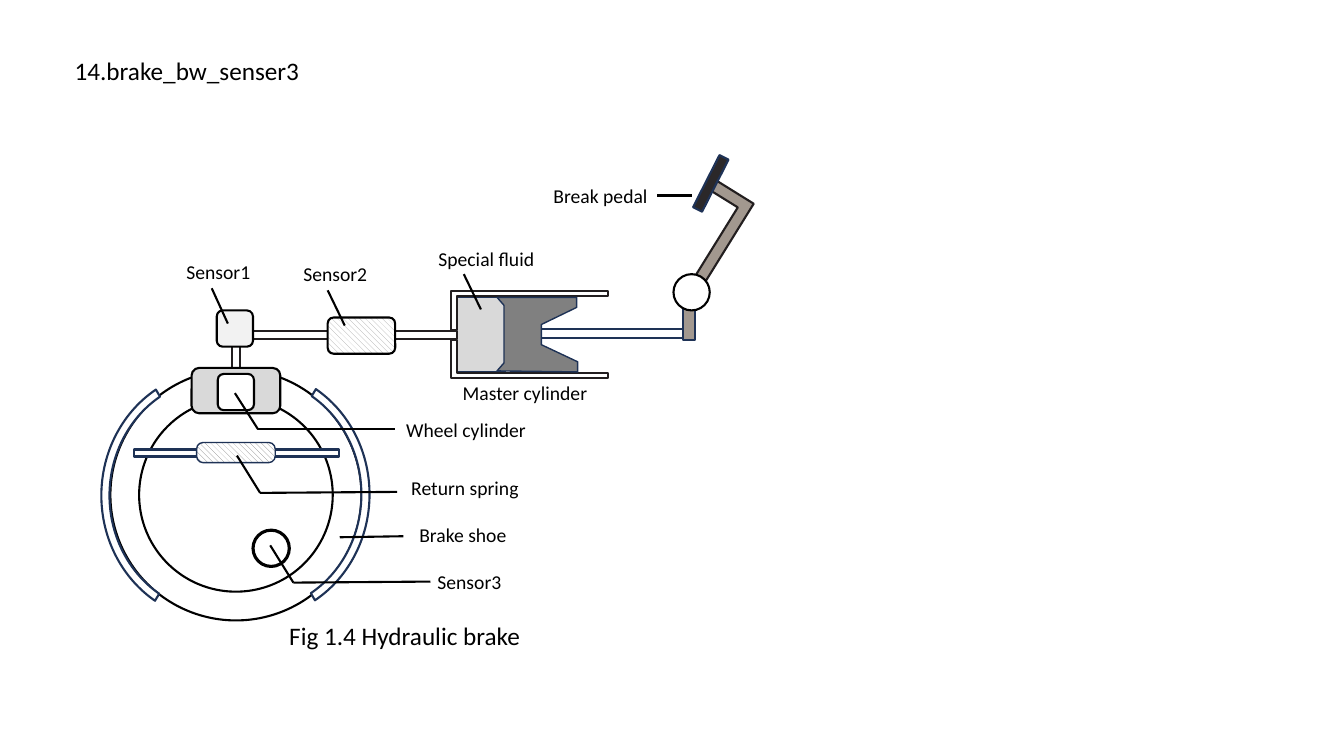
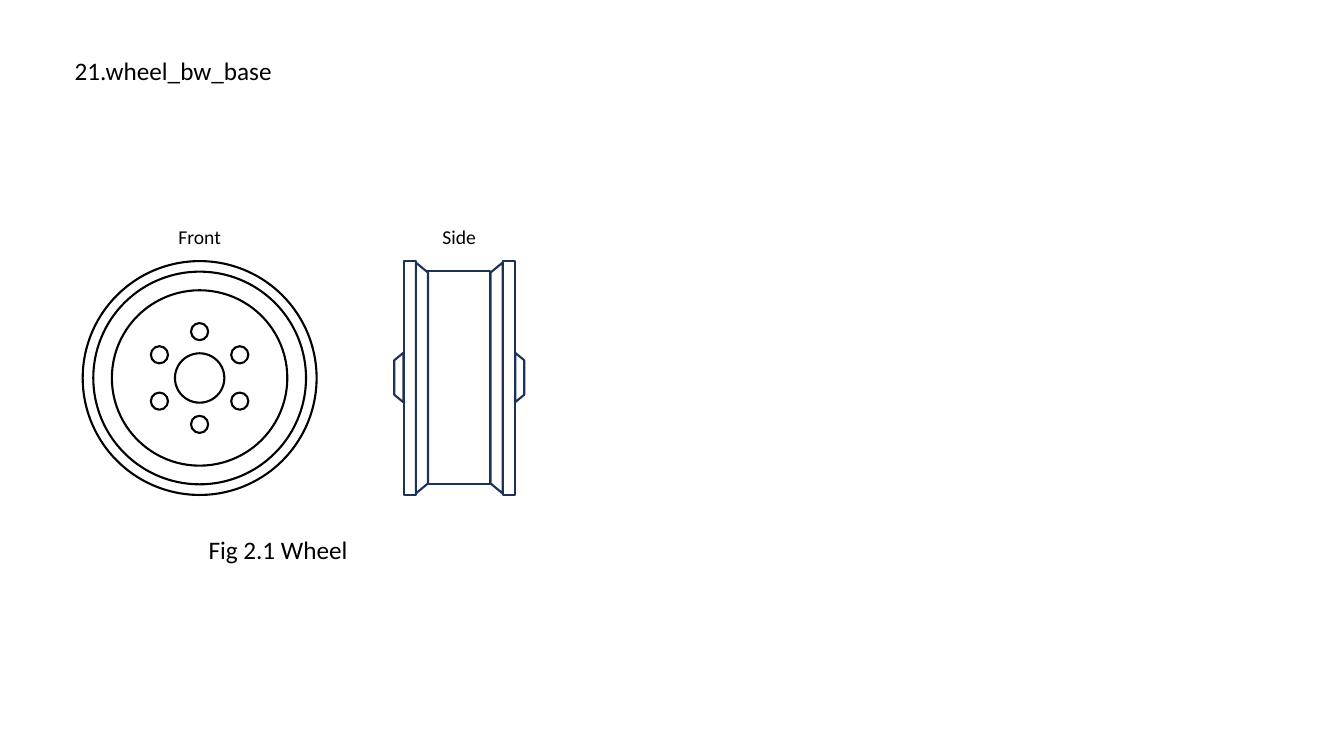
from dataclasses import dataclass
from itertools import pairwise
from math import cos, radians, sin

from lxml.etree import SubElement
from pptx import Presentation
from pptx.dml.color import RGBColor
from pptx.enum.dml import MSO_PATTERN
from pptx.enum.shapes import MSO_CONNECTOR, MSO_SHAPE
from pptx.enum.text import MSO_ANCHOR, MSO_AUTO_SIZE, PP_ALIGN
from pptx.oxml.ns import qn
from pptx.util import Inches, Pt

FONT = "Calibri"
BLACK, INK, NAVY = "000000", "221E1F", "1E3256"
WHITE, PALE, LIGHT, SILVER, GRAY = "FFFFFF", "F2F2F2", "D9D9D9", "A6A6A6", "808080"
STEEL, RUBBER = "A2988F", "2B2829"
LABEL_SIZE, HEADING_SIZE = 14, 18

RECT, ROUND, OVAL = MSO_SHAPE.RECTANGLE, MSO_SHAPE.ROUNDED_RECTANGLE, MSO_SHAPE.OVAL
CORNER, ARC, TRAPEZOID = MSO_SHAPE.CORNER, MSO_SHAPE.BLOCK_ARC, MSO_SHAPE.TRAPEZOID

Point = tuple[float, float]


@dataclass(frozen=True)
class Part:
    kind: MSO_SHAPE
    left: float
    top: float
    width: float
    height: float
    fill: str = WHITE
    line: str = BLACK
    line_width: float = 1.5
    rotation: float = 0
    flipped: bool = False
    hatched: bool = False
    adjustments: tuple[float, ...] = ()


@dataclass(frozen=True)
class Label:
    text: str
    left: float
    top: float
    width: float
    size: int = LABEL_SIZE


def rgb(color: str) -> RGBColor:
    return RGBColor.from_string(color)


def style_outline(shape, color: str, width: float) -> None:
    shape.line.color.rgb = rgb(color)
    shape.line.width = Pt(width)


def draw_part(shapes, part: Part) -> None:
    shape = shapes.add_shape(part.kind, Inches(part.left), Inches(part.top),
                             Inches(part.width), Inches(part.height))
    shape.shadow.inherit = False
    for index, value in enumerate(part.adjustments):
        shape.adjustments[index] = value
    shape.rotation = part.rotation
    if part.flipped:
        shape.element.spPr.get_or_add_xfrm().set("flipV", "1")
    if part.hatched:
        shape.fill.patterned()
        shape.fill.pattern = MSO_PATTERN.WIDE_DOWNWARD_DIAGONAL
        shape.fill.fore_color.rgb = rgb(part.fill)
        shape.fill.back_color.rgb = rgb(WHITE)
    else:
        shape.fill.solid()
        shape.fill.fore_color.rgb = rgb(part.fill)
    style_outline(shape, part.line, part.line_width)


def style_text(frame, text: str, size: int) -> None:
    frame.text = text
    frame.word_wrap = False
    frame.vertical_anchor = MSO_ANCHOR.TOP
    para = frame.paragraphs[0]
    para.alignment = PP_ALIGN.LEFT
    para.font.name = FONT
    para.font.size = Pt(size)
    para.font.color.rgb = rgb(BLACK)


def draw_label(shapes, label: Label) -> None:
    height = 0.4 if label.size == HEADING_SIZE else 0.34
    box = shapes.add_textbox(Inches(label.left), Inches(label.top),
                             Inches(label.width), Inches(height))
    style_text(box.text_frame, label.text, label.size)
    box.text_frame.auto_size = MSO_AUTO_SIZE.SHAPE_TO_FIT_TEXT


def draw_leader(shapes, points: list[Point]) -> None:
    """Join the points in turn with straight lines."""
    for start, end in pairwise(points):
        line = shapes.add_connector(MSO_CONNECTOR.STRAIGHT,
                                    *map(Inches, start), *map(Inches, end))
        style_outline(line, BLACK, 1.5)
        SubElement(line.element.spPr, qn("a:effectLst"))


def draw_outline(shapes, points: list[Point], fill: str) -> None:
    start, *rest = [(Inches(x), Inches(y)) for x, y in points]
    builder = shapes.build_freeform(*start)
    builder.add_line_segments(rest, close=True)
    shape = builder.convert_to_shape()
    shape.shadow.inherit = False
    shape.fill.solid()
    shape.fill.fore_color.rgb = rgb(fill)
    style_outline(shape, NAVY, 1)


def draw_callouts(shapes, labels: list[Label], leaders: list[list[Point]]) -> None:
    for label in labels:
        draw_label(shapes, label)
    for leader in leaders:
        draw_leader(shapes, leader)


def add_page(deck, heading: str, width: float):
    page = deck.slides.add_slide(deck.slide_layouts[5])
    title = page.shapes.title
    title.left, title.top = Inches(0.64), Inches(0.5)
    title.width, title.height = Inches(width), Inches(0.4)
    style_text(title.text_frame, heading, HEADING_SIZE)
    title.text_frame.auto_size = MSO_AUTO_SIZE.NONE
    return page


def circle(center: Point, diameter: float, line_width: float = 1.5) -> Part:
    x, y = center
    return Part(OVAL, x - diameter / 2, y - diameter / 2, diameter, diameter,
                line_width=line_width)


SHOE_ARC = (126.48, 197.82, 0.035)
CYLINDER_WALL = (0.132, 0.156)
DRUM_CENTER = (2.34, 4.91)

BRAKE_PARTS = [
    Part(RECT, 5.35, 3.26, 1.53, 0.09, line=NAVY),
    Part(CORNER, 6.56, 2.1, 0.96, 0.43, STEEL, INK, rotation=121.8, flipped=True,
         adjustments=(0.266, 0.266)),
    Part(RECT, 6.76, 1.77, 0.58, 0.1, RUBBER, NAVY, rotation=296.9),
    circle(DRUM_CENTER, 2.49),
    Part(ARC, 1.27, 3.75, 2.48, 2.31, line=NAVY, rotation=90, adjustments=SHOE_ARC),
    Part(ARC, 0.92, 3.76, 2.48, 2.31, line=NAVY, rotation=270, adjustments=SHOE_ARC),
    circle(DRUM_CENTER, 1.92),
    Part(RECT, 1.33, 4.46, 2.03, 0.07, line=NAVY),
    Part(ROUND, 1.95, 4.39, 0.78, 0.2, GRAY, NAVY, 1, hatched=True, adjustments=(0.321,)),
    Part(RECT, 4.53, 2.95, 0.48, 0.74, LIGHT, NAVY, 1),
    Part(CORNER, 4.47, 2.89, 1.56, 0.38, line=INK, flipped=True, adjustments=CYLINDER_WALL),
    Part(CORNER, 4.47, 3.37, 1.56, 0.38, line=INK, adjustments=CYLINDER_WALL),
    Part(RECT, 6.6, 3.08, 0.46, 0.12, STEEL, NAVY, rotation=270),
    circle((6.86, 2.9), 0.36),
    Part(CORNER, 2.3, 3.28, 2.23, 0.38, line=INK, flipped=True, adjustments=(0.215, 0.205)),
    Part(ROUND, 1.9, 3.65, 0.88, 0.45, LIGHT),
    Part(ROUND, 2.16, 3.71, 0.36, 0.36),
]
PISTON = [(4.93, 2.95), (5.72, 2.95), (5.72, 3.05), (5.37, 3.22), (5.37, 3.42), (5.73, 3.59),
          (5.73, 3.69), (4.93, 3.68), (5, 3.6), (5, 3.03)]
BRAKE_LABELS = [
    Label("Break pedal", 5.39, 1.78, 1.15),
    Label("Special fluid", 4.25, 2.4, 1.16),
    Label("Master cylinder", 4.49, 3.73, 1.45),
    Label("Wheel cylinder", 3.93, 4.1, 1.4),
    Label("Return spring", 3.98, 4.67, 1.28),
    Label("Brake shoe", 4.06, 5.14, 1.08),
    Label("Fig 1.4 Hydraulic brake", 2.77, 6.1, 2.52, HEADING_SIZE),
]
BRAKE_LEADERS = [
    [(6.52, 1.94), (6.86, 1.94)],
    [(4.6, 2.72), (4.77, 3.07)],
    [(2.35, 4.52), (2.58, 4.89), (3.94, 4.88)],
    [(3.37, 5.33), (4, 5.32)],
    [(2.33, 3.9), (2.56, 4.26), (3.92, 4.26)],
]

SENSOR_PARTS = [
    circle((2.69, 5.44), 0.36, 2.25),
    Part(ROUND, 2.15, 3.08, 0.36, 0.36, PALE),
    Part(ROUND, 3.25, 3.15, 0.67, 0.36, SILVER, hatched=True),
]
SENSOR_LABELS = [
    Label("Sensor1", 1.75, 2.53, 0.84),
    Label("Sensor2", 2.91, 2.55, 0.84),
    Label("Sensor3", 4.24, 5.6, 0.84),
]
SENSOR_LEADERS = [
    [(2.1, 2.86), (2.26, 3.21)],
    [(3.25, 2.88), (3.42, 3.23)],
    [(2.68, 5.41), (2.91, 5.78), (4.27, 5.77)],
]

WHEEL_CENTER = (1.98, 3.75)
RIM_DIAMETERS = (2.32, 2.11, 1.74, 0.49)
BOLT_COUNT, BOLT_RADIUS, BOLT_DIAMETER = 6, 0.46, 0.17
SIDE_PARTS = [
    Part(RECT, 4.01, 2.59, 0.12, 2.32, line=NAVY),
    Part(RECT, 4.99, 2.59, 0.12, 2.32, line=NAVY),
    Part(RECT, 4.24, 2.69, 0.62, 2.11, line=NAVY),
] + [
    Part(TRAPEZOID, left, top, width, height, line=NAVY, rotation=rotation,
         adjustments=(0.828,))
    for left, top, width, height, rotation in [
        (3.04, 3.69, 2.29, 0.12, 90), (3.78, 3.69, 2.29, 0.12, 270),
        (3.71, 3.7, 0.49, 0.09, 270), (4.91, 3.7, 0.49, 0.09, 90)]
]
WHEEL_LABELS = [
    Label("Front", 1.67, 2.18, 0.63),
    Label("Side", 4.29, 2.18, 0.54),
    Label("Fig 2.1 Wheel", 1.97, 5.25, 1.6, HEADING_SIZE),
]


def wheel_front() -> list[Part]:
    x, y = WHEEL_CENTER
    angles = [radians(30 + 360 / BOLT_COUNT * index) for index in range(BOLT_COUNT)]
    bolts = [circle((x + BOLT_RADIUS * cos(angle), y + BOLT_RADIUS * sin(angle)), BOLT_DIAMETER)
             for angle in angles]
    return [circle(WHEEL_CENTER, diameter) for diameter in RIM_DIAMETERS] + bolts


def build_brake_page(deck) -> None:
    page = add_page(deck, "14.brake_bw_senser3", 2.45)
    brake = page.shapes.add_group_shape().shapes
    for part in BRAKE_PARTS:
        draw_part(brake, part)
    draw_outline(brake, PISTON, GRAY)
    draw_callouts(brake, BRAKE_LABELS, BRAKE_LEADERS)
    for part in SENSOR_PARTS:
        draw_part(page.shapes, part)
    draw_callouts(page.shapes, SENSOR_LABELS, SENSOR_LEADERS)


def build_wheel_page(deck) -> None:
    page = add_page(deck, "21.wheel_bw_base", 2.24)
    wheel = page.shapes.add_group_shape().shapes
    for part in wheel_front() + SIDE_PARTS:
        draw_part(wheel, part)
    draw_callouts(wheel, WHEEL_LABELS, [])


def main() -> None:
    deck = Presentation()
    deck.slide_width, deck.slide_height = Inches(13.33), Inches(7.5)
    build_brake_page(deck)
    build_wheel_page(deck)
    deck.save("out.pptx")


if __name__ == "__main__":
    main()
